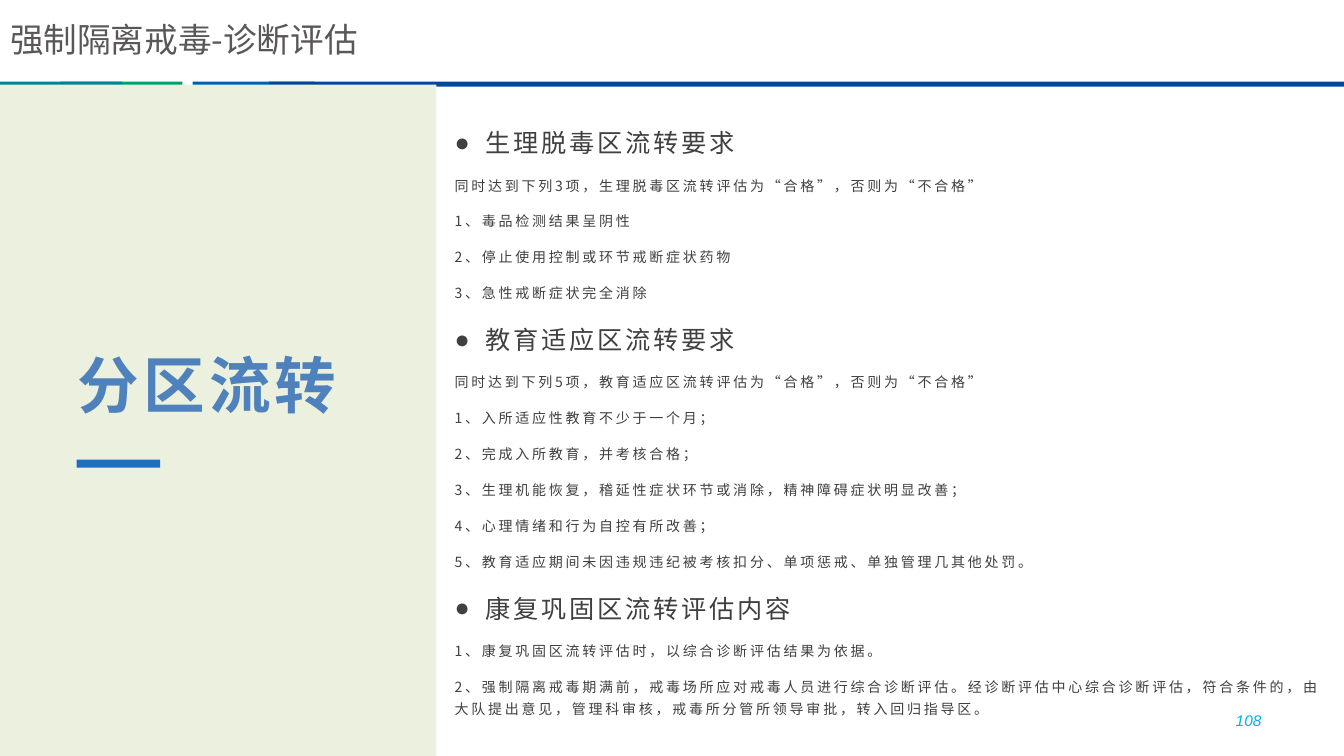
from lxml import etree
from pptx import Presentation
from pptx.dml.color import RGBColor
from pptx.enum.shapes import MSO_SHAPE
from pptx.enum.text import MSO_ANCHOR, MSO_AUTO_SIZE, PP_ALIGN
from pptx.oxml.ns import qn
from pptx.util import Inches, Pt

RECTANGLE = MSO_SHAPE.RECTANGLE
MIDDLE, BOTTOM = MSO_ANCHOR.MIDDLE, MSO_ANCHOR.BOTTOM
LEFT, RIGHT = PP_ALIGN.LEFT, PP_ALIGN.RIGHT
FIXED_SIZE = MSO_AUTO_SIZE.NONE

GREEN = RGBColor(0x00, 0xA0, 0x73)
BLUE = RGBColor(0x00, 0x62, 0xAD)
NAVY = RGBColor(0x00, 0x47, 0x9D)
TEAL = RGBColor(0x00, 0x81, 0x9C)
PALE_GREEN = RGBColor(0xEB, 0xF1, 0xDE)
ACCENT = RGBColor(0x1D, 0x6D, 0xC2)
HEADLINE_BLUE = RGBColor(0x4F, 0x81, 0xBD)
BODY_GREY = RGBColor(0x40, 0x40, 0x40)
TITLE_GREY = RGBColor(0x59, 0x57, 0x57)
NUMBER_BLUE = RGBColor(0x00, 0xB0, 0xF0)

CJK_FONT = "Noto Sans CJK SC"
WIDTH, HEIGHT = 13.33, 7.5
PANEL_WIDTH = 4.33

SECTIONS = [
    ("生理脱毒区流转要求", [
        "同时达到下列3项，生理脱毒区流转评估为“合格”，否则为“不合格”",
        "1、毒品检测结果呈阴性",
        "2、停止使用控制或环节戒断症状药物",
        "3、急性戒断症状完全消除",
    ]),
    ("教育适应区流转要求", [
        "同时达到下列5项，教育适应区流转评估为“合格”，否则为“不合格”",
        "1、入所适应性教育不少于一个月；",
        "2、完成入所教育，并考核合格；",
        "3、生理机能恢复，稽延性症状环节或消除，精神障碍症状明显改善；",
        "4、心理情绪和行为自控有所改善；",
        "5、教育适应期间未因违规违纪被考核扣分、单项惩戒、单独管理几其他处罚。",
    ]),
    ("康复巩固区流转评估内容", [
        "1、康复巩固区流转评估时，以综合诊断评估结果为依据。",
        "2、强制隔离戒毒期满前，戒毒场所应对戒毒人员进行综合诊断评估。"
        "经诊断评估中心综合诊断评估，符合条件的，由大队提出意见，管理科审核，"
        "戒毒所分管所领导审批，转入回归指导区。",
    ]),
]


def add_bar(page, left, top, width, height, color):
    bar = page.shapes.add_shape(
        RECTANGLE, Inches(left), Inches(top), Inches(width), Inches(height))
    bar.shadow.inherit = False
    bar.fill.solid()
    bar.fill.fore_color.rgb = color
    bar.line.fill.background()


def add_box(page, left, top, width, height, anchor=MIDDLE):
    box = page.shapes.add_textbox(
        Inches(left), Inches(top), Inches(width), Inches(height))
    box.text_frame.word_wrap = True
    box.text_frame.vertical_anchor = anchor
    return box.text_frame


def add_bullet(para, indent=0.31):
    props = para._p.get_or_add_pPr()
    props.set("marL", str(Inches(indent)))
    props.set("indent", str(-Inches(indent)))
    etree.SubElement(props, qn("a:buFont")).set("typeface", "Arial")
    etree.SubElement(props, qn("a:buChar")).set("char", "●")


def write(para, text, size, color, font=CJK_FONT, bold=False, italic=False,
          spacing=0, align=LEFT):
    """Put formatted text in a paragraph; spacing is in points."""
    para.alignment = align
    span = para.add_run()
    span.text = text
    span.font.size = Pt(size)
    span.font.bold = bold
    span.font.italic = italic
    span.font.color.rgb = color
    span.font.name = font
    props = span._r.get_or_add_rPr()
    etree.SubElement(props, qn("a:ea")).set("typeface", font)
    if spacing:
        props.set("spc", str(spacing * 100))


def build_header(page):
    # Title
    title = page.shapes.title
    title.left, title.top = Inches(0), Inches(0.12)
    title.width, title.height = Inches(7.13), Inches(0.54)
    frame = title.text_frame
    frame.auto_size = FIXED_SIZE
    frame.vertical_anchor = MIDDLE
    write(frame.paragraphs[0], "强制隔离戒毒-诊断评估", 24, TITLE_GREY)
    # Coloured rule under the title
    for left, width, color in [(0.6, 1.21, GREEN), (1.91, 1.21, BLUE),
                               (2.67, WIDTH - 2.67, NAVY), (0, 1.21, TEAL)]:
        add_bar(page, left, 0.81, width, 0.05, color)


def build_side_panel(page, left, top, width, height):
    add_bar(page, left, top, width, height, PALE_GREEN)
    add_bar(page, left + 0.76, top + 3.72, 0.83, 0.08, ACCENT)
    frame = add_box(page, left + 0.67, top + 0.88, 3, 2.5, BOTTOM)
    write(frame.paragraphs[0], "分区流转", 44, HEADLINE_BLUE, bold=True, spacing=3)


def build_body(page, left, top, width, height):
    frame = add_box(page, left, top, width, height)
    frame.margin_top = frame.margin_bottom = 0
    lines = []
    for heading, items in SECTIONS:
        lines.append((heading, 18))
        lines += [(item, 10) for item in items]
    for index, (text, size) in enumerate(lines):
        para = frame.add_paragraph() if index else frame.paragraphs[0]
        para.line_spacing = 1.3
        para.space_before = Pt(10 if index else 0)
        if size == 18:
            add_bullet(para)
        write(para, text, size, BODY_GREY, spacing=2)


def build_page_number(page, left, top, width, height):
    frame = add_box(page, left, top, width, height)
    write(frame.paragraphs[0], "108", 11, NUMBER_BLUE, font="Arial",
          italic=True, align=RIGHT)


def main():
    deck = Presentation()
    deck.slide_width, deck.slide_height = Inches(WIDTH), Inches(HEIGHT)
    page = deck.slides.add_slide(deck.slide_layouts[5])
    build_header(page)
    build_side_panel(page, 0, 0.84, PANEL_WIDTH, HEIGHT - 0.84)
    build_body(page, PANEL_WIDTH + 0.08, 1.24, WIDTH - PANEL_WIDTH - 0.08, 5.81)
    build_page_number(page, 9.5, 6.95, 3.11, 0.4)
    deck.save("out.pptx")


if __name__ == "__main__":
    main()
